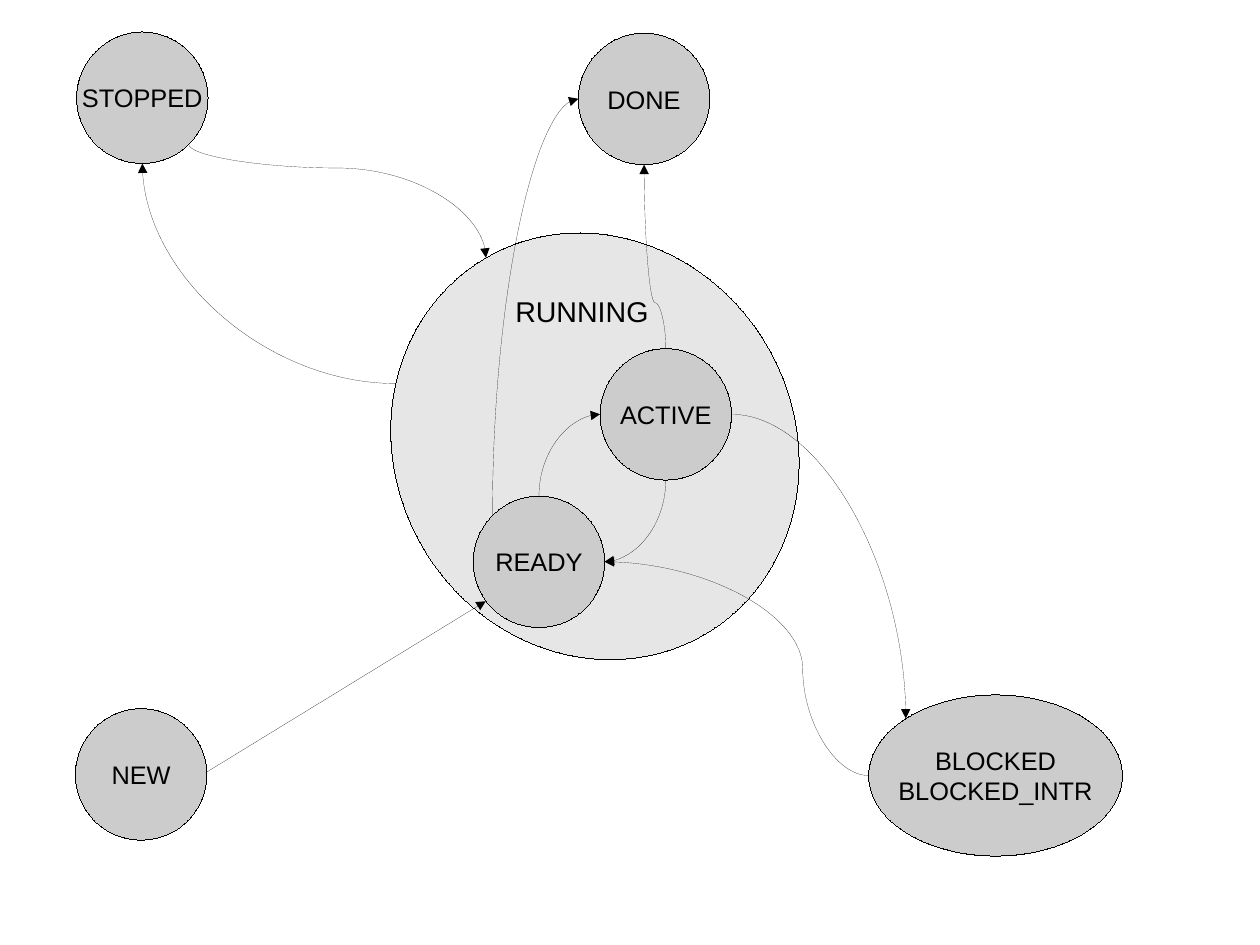
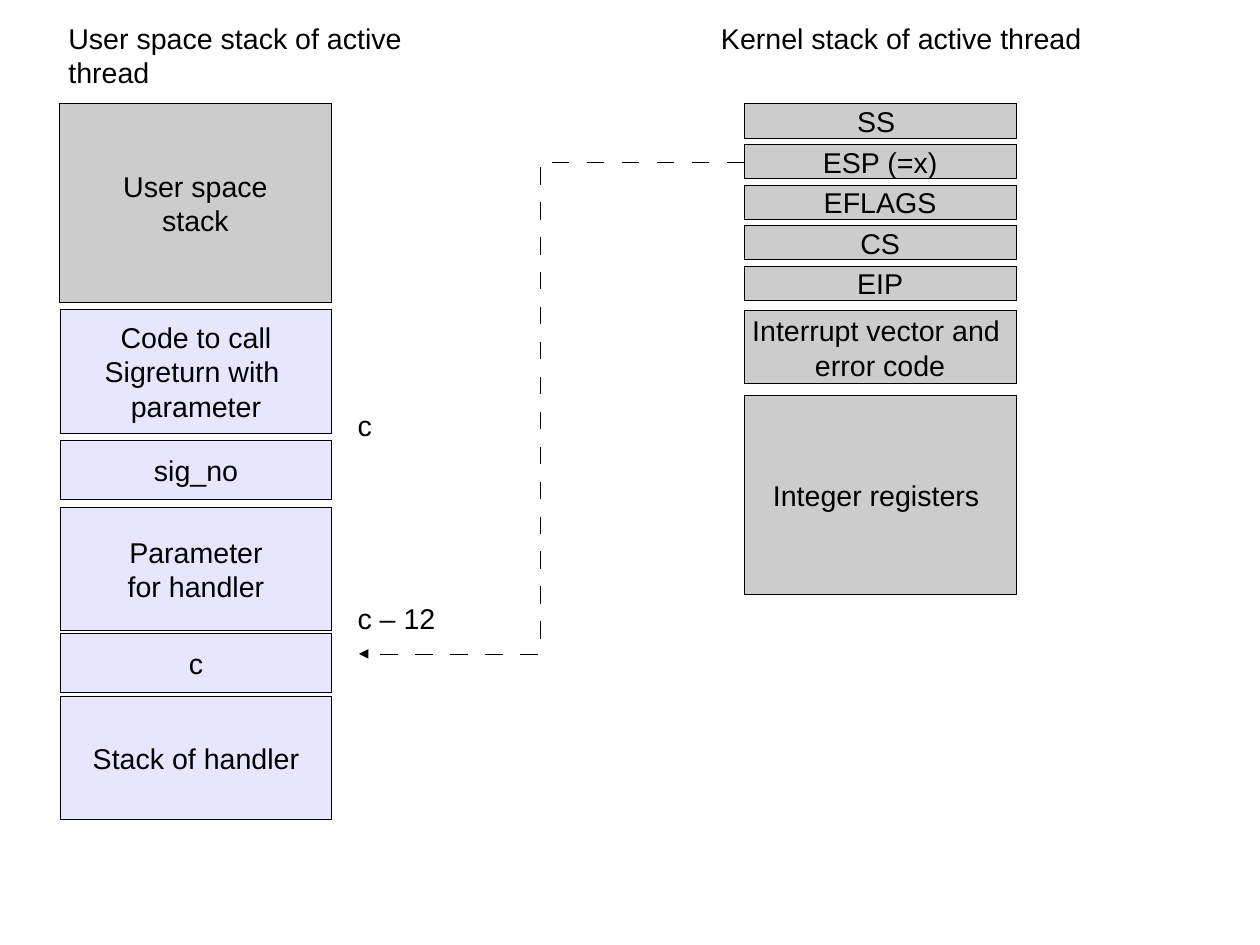
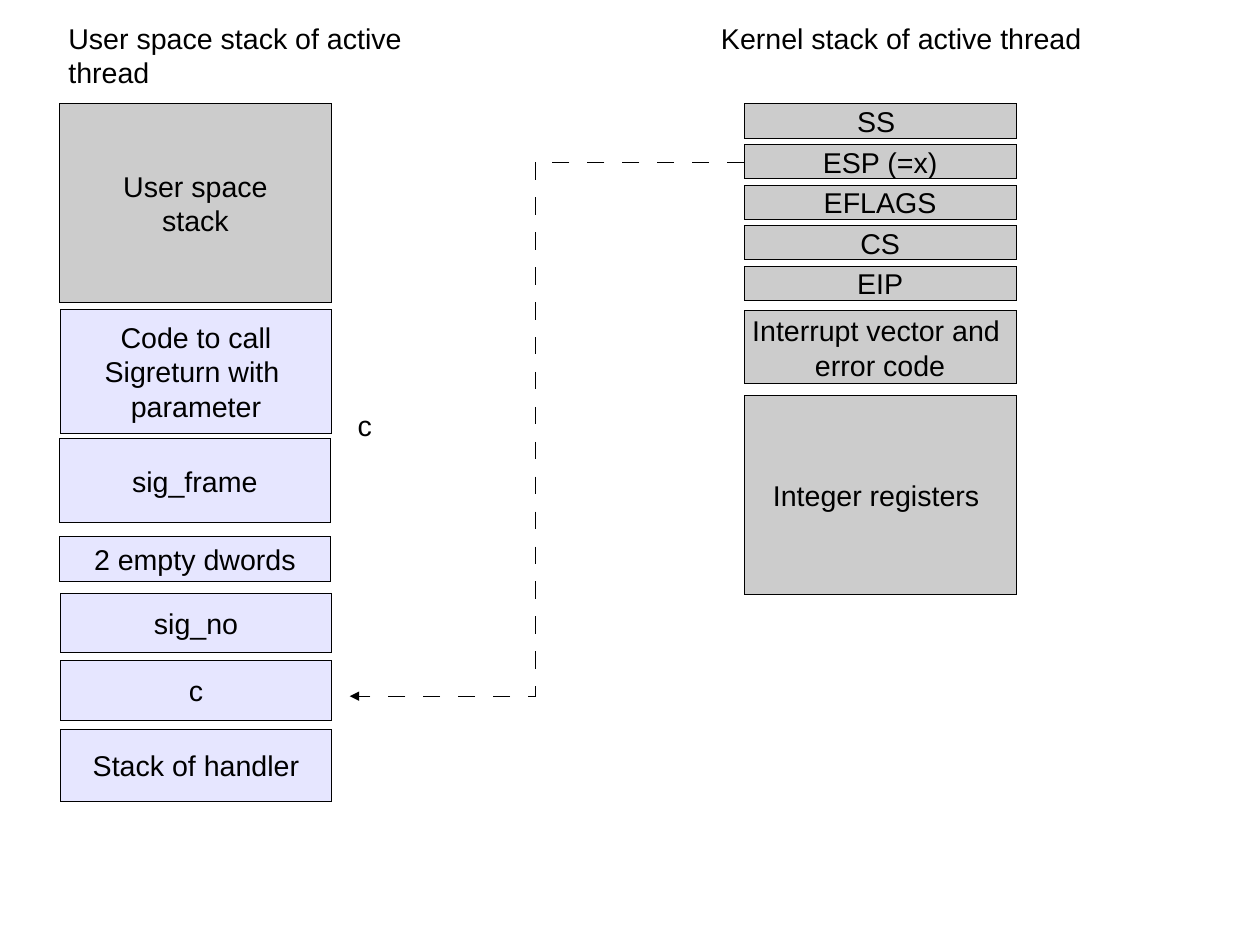
from math import cos, radians, sin

from pptx import Presentation
from pptx.dml.color import RGBColor
from pptx.enum.shapes import MSO_CONNECTOR as CONN, MSO_SHAPE as SHAPE
from pptx.enum.text import MSO_ANCHOR as ANCHOR, PP_ALIGN as ALIGN
from pptx.oxml.ns import qn
from pptx.oxml.xmlchemy import OxmlElement
from pptx.util import Inches, Pt

BLACK = RGBColor(0x00, 0x00, 0x00)
GREY = RGBColor(0xCC, 0xCC, 0xCC)
PALE_GREY = RGBColor(0xE6, 0xE6, 0xE6)
LAVENDER = RGBColor(0xE6, 0xE6, 0xFF)
FONT = "Arial"
CIRCLE = 1.15
TOP, TOP_LEFT, LEFT, BOTTOM, BOTTOM_RIGHT, RIGHT = 0, 1, 2, 4, 5, 6
RECT_LEFT = 1
KERNEL_X, KERNEL_W = 6.51, 2.38
KERNEL_TOP, KERNEL_STEP, KERNEL_H = 0.91, 0.355, 0.3
USER_X, USER_W = 0.53, 2.37


def child(parent, tag, **attrs):
    el = OxmlElement(tag)
    for name, value in attrs.items():
        el.set(name, str(value))
    parent.append(el)
    return el


def write(tf, text, size=18, align=ALIGN.LEFT, anchor=ANCHOR.TOP, wrap=True):
    tf.word_wrap = wrap
    tf.vertical_anchor = anchor
    tf.text = text
    for p in tf.paragraphs:
        p.alignment = align
        for r in p.runs:
            r.font.size = Pt(size)
            r.font.name = FONT
            r.font.color.rgb = BLACK
        for br in p._p.findall(qn("a:br")):
            child(br, "a:rPr", sz=size * 100)


def label(s, text, x, y, w, h=0.38):
    tb = s.shapes.add_textbox(Inches(x), Inches(y), Inches(w), Inches(h))
    write(tb.text_frame, text)


def hairline(line):
    line.color.rgb = BLACK
    ln = line._get_or_add_ln()
    ln.set("w", "0")
    return ln


def box(s, text, x, y, w, h, fill=GREY, kind=SHAPE.RECTANGLE, size=18):
    sp = s.shapes.add_shape(kind, Inches(x), Inches(y), Inches(w), Inches(h))
    sp.shadow.inherit = False
    sp.fill.solid()
    sp.fill.fore_color.rgb = fill
    hairline(sp.line)
    if text:
        write(sp.text_frame, text, size, ALIGN.CENTER, ANCHOR.MIDDLE, False)
    return sp


def state(s, text, x, y, w=CIRCLE, h=CIRCLE, fill=GREY):
    return box(s, text, x, y, w, h, fill, SHAPE.OVAL, 16)


def finish_line(c, dash=None):
    ln = hairline(c.line)
    if dash:
        child(child(ln, "a:custDash"), "a:ds", d=dash, sp=dash)
    child(ln, "a:tailEnd", type="triangle")
    child(c._element.spPr, "a:effectLst")


def straight_arrow(s, x1, y1, x2, y2):
    c = s.shapes.add_connector(CONN.STRAIGHT, Inches(x1), Inches(y1), Inches(x2), Inches(y2))
    finish_line(c)


def routed_arrow(s, start, end, preset, vertical=False, adj=None, dash=None):
    (x1, y1), (x2, y2) = start, end
    dx, dy = x2 - x1, y2 - y1
    if vertical:
        w, h = abs(dy), abs(dx)
        rot = 90 if (dx > 0) != (dy > 0) else 270
        flip_h, flip_v = dx > 0, dy < 0
    else:
        w, h = abs(dx), abs(dy)
        rot = 180 if dx < 0 else 0
        flip_h, flip_v = False, (dx < 0) != (dy < 0)
    x, y = (x1 + x2 - w) / 2, (y1 + y2 - h) / 2
    c = s.shapes.add_connector(CONN.CURVE, Inches(x), Inches(y), Inches(x + w), Inches(y + h))
    xfrm = c._element.spPr.find(qn("a:xfrm"))
    for name, value in (("rot", rot * 60000), ("flipH", int(flip_h)), ("flipV", int(flip_v))):
        if value:
            xfrm.set(name, str(value))
    geom = c._element.spPr.find(qn("a:prstGeom"))
    geom.set("prst", preset)
    if adj is not None:
        child(geom.find(qn("a:avLst")), "a:gd", name="adj1", fmla=f"val {round(adj * 100000)}")
    finish_line(c, dash)
    return c


def attach(c, tag, sp, site):
    child(c._element.nvCxnSpPr.cNvCxnSpPr, tag, id=sp.shape_id, idx=site)


def oval_site(sp, site):
    angle, turn = radians(-90 - 45 * site), radians(sp.rotation)
    w, h = sp.width.inches, sp.height.inches
    dx, dy = w / 2 * cos(angle), h / 2 * sin(angle)
    return (sp.left.inches + w / 2 + dx * cos(turn) - dy * sin(turn),
            sp.top.inches + h / 2 + dx * sin(turn) + dy * cos(turn))


def transition(s, source, out_site, target, in_site, vertical=False, adj=None):
    preset = "curvedConnector2" if adj is None else "curvedConnector3"
    c = routed_arrow(s, oval_site(source, out_site), oval_site(target, in_site),
                     preset, vertical, adj)
    attach(c, "a:stCxn", source, out_site)
    attach(c, "a:endCxn", target, in_site)


def states_slide(s):
    running = state(s, "", 3.46, 2, 3.49, 3.81, PALE_GREY)
    running.rotation = 330
    ready = state(s, "READY", 4.14, 4.34)
    state(s, "NEW", 0.66, 6.2)
    active = state(s, "ACTIVE", 5.25, 3.05)
    blocked = state(s, "BLOCKED\vBLOCKED_INTR", 7.6, 6.08, 2.22, 1.41)
    done = state(s, "DONE", 5.06, 0.29)
    stopped = state(s, "STOPPED", 0.67, 0.28)
    label(s, "RUNNING", 4.41, 2.52, 1.46)

    straight_arrow(s, 1.8, 6.76, 4.25, 5.26)
    transition(s, ready, TOP, active, LEFT, vertical=True)
    transition(s, active, BOTTOM, ready, RIGHT, vertical=True)
    transition(s, active, RIGHT, blocked, TOP_LEFT)
    transition(s, blocked, LEFT, ready, RIGHT, adj=0.25)
    transition(s, ready, TOP_LEFT, done, LEFT, vertical=True)
    transition(s, active, TOP, done, BOTTOM, vertical=True, adj=0.25)
    transition(s, running, TOP_LEFT, stopped, BOTTOM)
    transition(s, stopped, BOTTOM_RIGHT, running, TOP, vertical=True, adj=0.21)


def stack_slide(s, frames, pointer_end):
    label(s, "User space stack of active thread", 0.5, 0.13, 3.63, 0.66)
    label(s, "Kernel stack of active thread", 6.21, 0.13, 3.63)

    registers = [box(s, text, KERNEL_X, KERNEL_TOP + i * KERNEL_STEP, KERNEL_W, KERNEL_H)
                 for i, text in enumerate(("SS ", "ESP (=x)", "EFLAGS", "CS", "EIP"))]
    box(s, "Interrupt vector and \nerror code", KERNEL_X, 2.72, KERNEL_W, 0.64)
    box(s, "Integer registers ", KERNEL_X, 3.46, KERNEL_W, 1.74)

    box(s, "User space\nstack", 0.52, 0.91, KERNEL_W, 1.74)
    box(s, "Code to call\nSigreturn with \nparameter", USER_X, 2.71, USER_W, 1.08, LAVENDER)
    for text, x, y, h in frames:
        box(s, text, x, y, USER_W, h, LAVENDER)
    label(s, "c", 3.03, 3.52, 2)

    esp = registers[1]
    start = KERNEL_X, esp.top.inches + KERNEL_H / 2
    c = routed_arrow(s, start, pointer_end, "bentConnector3", adj=0.53, dash=1440000)
    attach(c, "a:stCxn", esp, RECT_LEFT)


def main():
    prs = Presentation()
    prs.slide_width, prs.slide_height = Inches(28 / 2.54), Inches(21 / 2.54)
    prs.element.find(qn("p:sldSz")).attrib.pop("type", None)
    states, handler, frame = [prs.slides.add_slide(prs.slide_layouts[6]) for _ in range(3)]

    states_slide(states)
    stack_slide(handler, [
        ("sig_no", USER_X, 3.85, 0.52),
        ("Parameter\nfor handler", USER_X, 4.44, 1.08),
        ("c", USER_X, 5.54, 0.52),
        ("Stack of handler", USER_X, 6.09, 1.08),
    ], (3.14, 5.72))
    label(handler, "c – 12 ", 3.03, 5.21, 2)
    stack_slide(frame, [
        ("sig_frame", 0.52, 3.84, 0.73),
        ("2 empty dwords", 0.52, 4.69, 0.4),
        ("sig_no", USER_X, 5.19, 0.52),
        ("c", USER_X, 5.78, 0.52),
        ("Stack of handler", USER_X, 6.38, 0.63),
    ], (3.06, 6.09))
    prs.save("out.pptx")


main()
